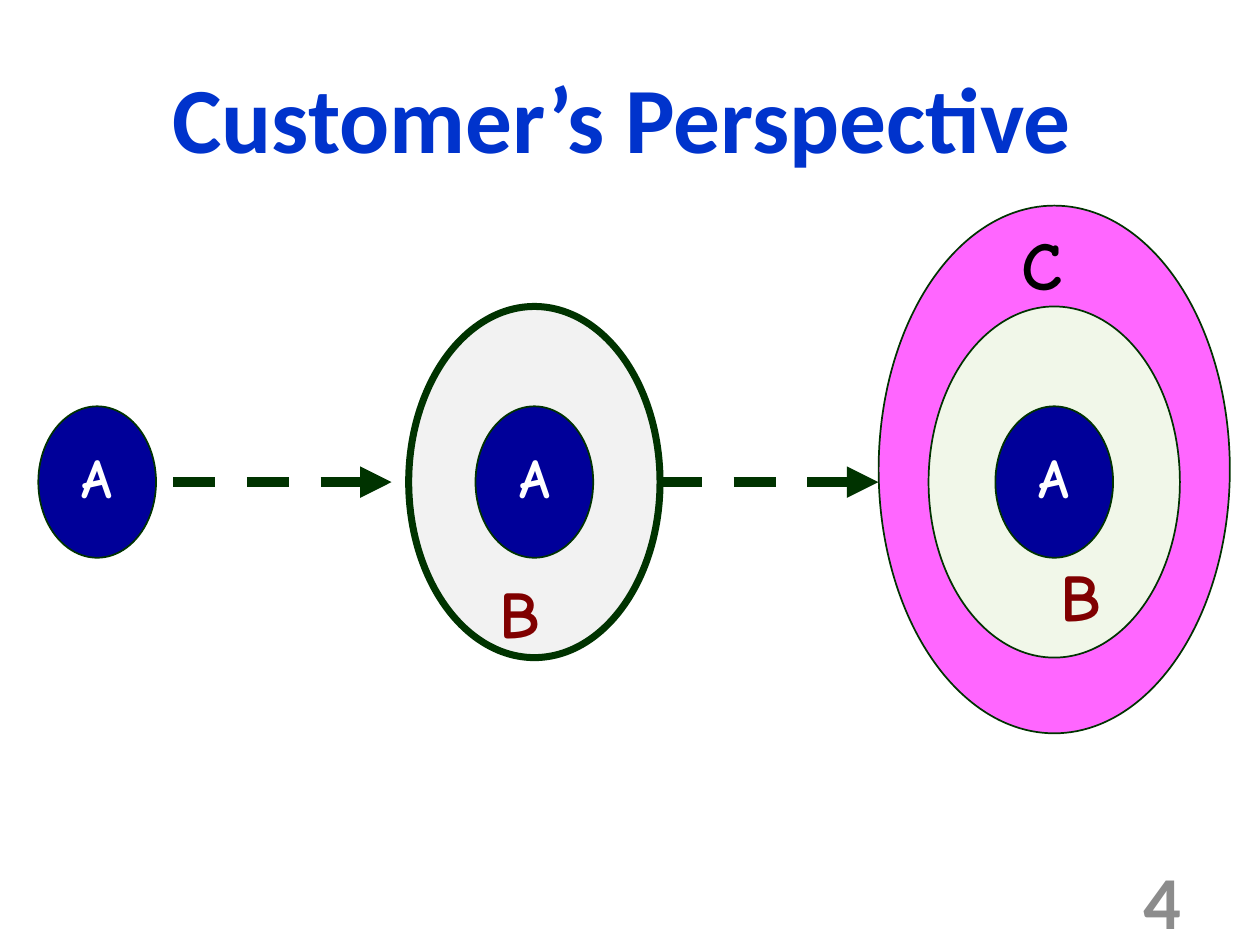
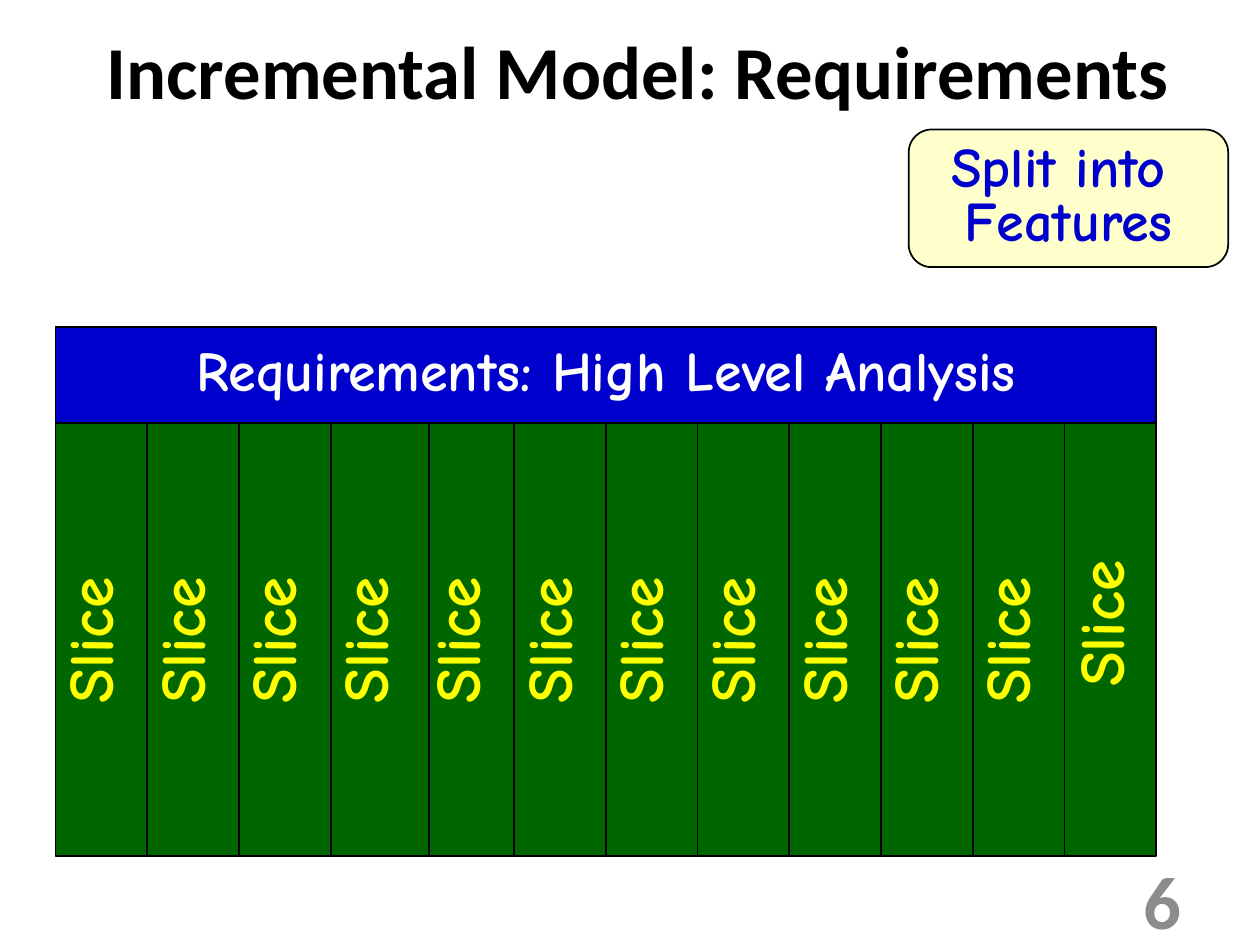
from dataclasses import dataclass

import pptx
import pptx.dml.color
import pptx.enum.dml
import pptx.enum.shapes
import pptx.enum.text
import pptx.oxml
import pptx.oxml.ns
import pptx.util

Cm = pptx.util.Cm
Pt = pptx.util.Pt
SHAPES = pptx.enum.shapes.MSO_SHAPE
ALIGN = pptx.enum.text.PP_ALIGN
ANCHOR = pptx.enum.text.MSO_ANCHOR
FIT = pptx.enum.text.MSO_AUTO_SIZE
NARROW_INSETS = (0.03, 0.1, 0.03, 0.1)


@dataclass(frozen=True)
class Theme:
    # Fonts
    heading_font: str = "Calibri"
    label_font: str = "Comic Neue"
    # Colours
    black: str = "000000"
    white: str = "FFFFFF"
    title_blue: str = "0033CC"
    core: str = "000099"
    outline: str = "003300"
    middle_ring: str = "F2F2F2"
    inner_ring: str = "F1F7E9"
    outer_ring: str = "FF66FF"
    dark_red: str = "800000"
    number_grey: str = "8C8C8C"
    header_blue: str = "0000CC"
    slice_green: str = "006600"
    slice_yellow: str = "FFFF00"
    callout_fill: str = "FFFFCC"
    # Type sizes and line widths
    large_title: float = 40
    title: float = 32
    number: float = 32
    ring_c: float = 29.3
    ring_b: float = 28.6
    slice_label: float = 27.2
    box: float = 24
    core_label: float = 23.8
    thin: float = 0.75
    thick: float = 3
    arrow: float = 4.5


THEME = Theme()


def rgb(value):
    return pptx.dml.color.RGBColor.from_string(value)


class Deck:
    """Holds the style and the current slide."""

    def __init__(self, theme):
        self.theme = theme
        self.presentation = pptx.Presentation()
        self.presentation.slide_width = Cm(19.05)
        self.presentation.slide_height = Cm(14.29)
        self.slide = None

    def new_slide(self, number):
        layout = self.presentation.slide_layouts[5]
        self.slide = self.presentation.slides.add_slide(layout)
        self.text_box((13.67, 13.23, 4.45, 0.76), number, self.theme.number,
                      self.theme.number_grey, font=self.theme.heading_font,
                      align=ALIGN.RIGHT, anchor=ANCHOR.MIDDLE)

    def add_text(self, shape, text, size, color, font=None, align=ALIGN.LEFT,
                 anchor=ANCHOR.TOP, spacing=None, before=0, insets=None,
                 wrap=True, fit=FIT.NONE):
        frame = shape.text_frame
        frame.word_wrap = wrap
        frame.auto_size = fit
        frame.vertical_anchor = anchor
        if insets:
            (frame.margin_left, frame.margin_top,
             frame.margin_right, frame.margin_bottom) = map(Cm, insets)
        for index, line in enumerate(text.split("\n")):
            paragraph = frame.add_paragraph() if index else frame.paragraphs[0]
            paragraph.alignment = align
            paragraph.space_before = Pt(before)
            if spacing:
                paragraph.line_spacing = spacing
            run = paragraph.add_run()
            run.text = line
            run.font.name = font or self.theme.label_font
            run.font.size = Pt(size)
            run.font.bold = True
            run.font.color.rgb = rgb(color)

    def title(self, box, text, size, color, **style):
        title = self.slide.shapes.title
        title.left, title.top, title.width, title.height = map(Cm, box)
        self.add_text(title, text, size, color, font=self.theme.heading_font,
                      align=ALIGN.CENTER, anchor=ANCHOR.MIDDLE, **style)

    def text_box(self, box, text, size, color, rotation=0, **style):
        shape = self.slide.shapes.add_textbox(*map(Cm, box))
        shape.rotation = rotation
        self.add_text(shape, text, size, color, **style)

    def shape(self, kind, box, fill, line, width=THEME.thin):
        shape = self.slide.shapes.add_shape(kind, *map(Cm, box))
        shape.shadow.inherit = False
        shape.fill.solid()
        shape.fill.fore_color.rgb = rgb(fill)
        shape.line.color.rgb = rgb(line)
        shape.line.width = Pt(width)
        return shape

    def filled_text(self, kind, box, fill, text, color, wrap=True):
        shape = self.shape(kind, box, fill, self.theme.black)
        self.add_text(shape, text, self.theme.box, color, align=ALIGN.CENTER,
                      anchor=ANCHOR.MIDDLE, spacing=0.8, wrap=wrap)

    def ellipse(self, center, size, fill, width=THEME.thin):
        box = (center[0] - size[0] / 2, center[1] - size[1] / 2, *size)
        return self.shape(SHAPES.OVAL, box, fill, self.theme.outline, width)

    def core(self, center):
        shape = self.ellipse(center, (1.78, 2.29), self.theme.core)
        self.add_text(shape, "A", self.theme.core_label, self.theme.white,
                      align=ALIGN.CENTER, anchor=ANCHOR.MIDDLE, spacing=0.85,
                      before=5.4, insets=NARROW_INSETS)

    def ring_label(self, box, text, size, color, before):
        self.text_box(box, text, size, color, spacing=0.85, before=before,
                      insets=NARROW_INSETS)

    def dashed_arrow(self, start, end, y):
        arrow = self.slide.shapes.add_connector(
            pptx.enum.shapes.MSO_CONNECTOR.STRAIGHT,
            Cm(start), Cm(y), Cm(end), Cm(y))
        arrow.line.color.rgb = rgb(self.theme.outline)
        arrow.line.width = Pt(self.theme.arrow)
        arrow.line.dash_style = pptx.enum.dml.MSO_LINE.DASH
        namespace = pptx.oxml.ns.nsdecls("a")
        line = arrow.element.spPr.find(pptx.oxml.ns.qn("a:ln"))
        line.append(pptx.oxml.parse_xml(
            f'<a:tailEnd {namespace} type="triangle"/>'))
        line.addnext(pptx.oxml.parse_xml(f"<a:effectLst {namespace}/>"))


def customer_slide(deck):
    theme = deck.theme
    deck.new_slide("4")
    deck.title((1.27, 0.66, 16.26, 2.36), "Customer’s Perspective",
               theme.large_title, theme.title_blue, spacing=0.94, before=6.8,
               insets=NARROW_INSETS)

    # Three growing stages along one axis
    axis = 7.29
    first, second, third = 1.47, 8.08, 15.94
    ring = (3.8, 5.31)
    deck.ellipse((third, 7.1), (5.31, 7.98), theme.outer_ring)
    deck.ellipse((third, axis), ring, theme.inner_ring)
    deck.ellipse((second, axis), ring, theme.middle_ring, theme.thick)
    for x in (first, second, third):
        deck.core((x, axis))

    # Arrows between the stages
    for start in (2.62, 9.98):
        deck.dashed_arrow(start, start + 3.3, axis)

    # Ring labels
    deck.ring_label((15.42, 3.45, 1.27, 2.57), "C", theme.ring_c,
                    theme.black, 12)
    for left, top in ((7.52, 8.74), (16, 8.48)):
        deck.ring_label((left, top, 1.27, 2.26), "B", theme.ring_b,
                        theme.dark_red, 10.3)


def requirements_slide(deck):
    theme = deck.theme
    deck.new_slide("6")
    deck.title((0.25, -0.13, 18.8, 2.36), "Incremental Model: Requirements",
               theme.title, theme.black)

    # Slices, with the fifth column starting a little late
    left, width, count = 0.84, 16.64, 12
    step = width / count
    edges = [left + step * index for index in range(count + 1)]
    edges[4] += 0.1
    for start, end in zip(edges, edges[1:]):
        deck.shape(SHAPES.RECTANGLE, (start, 6.02, end - start, 6.93),
                   theme.slice_green, theme.black)

    # Upright slice labels, the last one set higher
    for index in range(count):
        is_last = index == count - 1
        length, height = (3.15 if is_last else 2.95), 1.19
        center_x = left + step * index + (0.64 if is_last else 0.61)
        center_y = 9.06 if is_last else 9.41
        deck.text_box(
            (center_x - length / 2, center_y - height / 2, length, height),
            "Slice", theme.slice_label, theme.slice_yellow, rotation=270,
            spacing=0.8, fit=FIT.SHAPE_TO_FIT_TEXT)

    # Header band and callout
    deck.filled_text(SHAPES.RECTANGLE, (left, 4.95, width, 1.45),
                     theme.header_blue, "Requirements: High Level Analysis",
                     theme.white)
    deck.filled_text(SHAPES.ROUNDED_RECTANGLE, (13.74, 1.96, 4.83, 2.08),
                     theme.callout_fill, "Split into \nFeatures",
                     theme.header_blue, wrap=False)


def main():
    deck = Deck(THEME)
    customer_slide(deck)
    requirements_slide(deck)
    deck.presentation.save("out.pptx")


if __name__ == "__main__":
    main()
